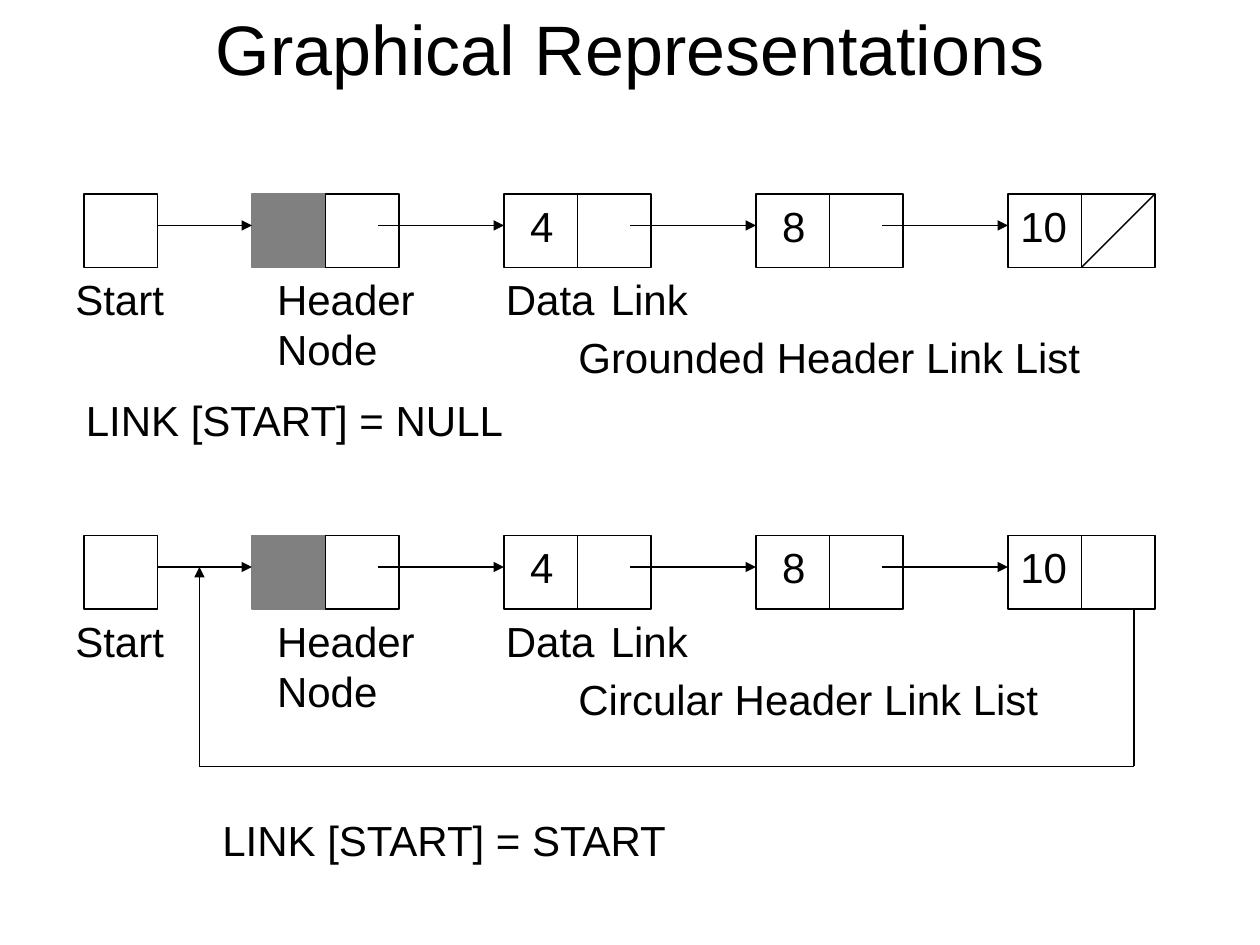
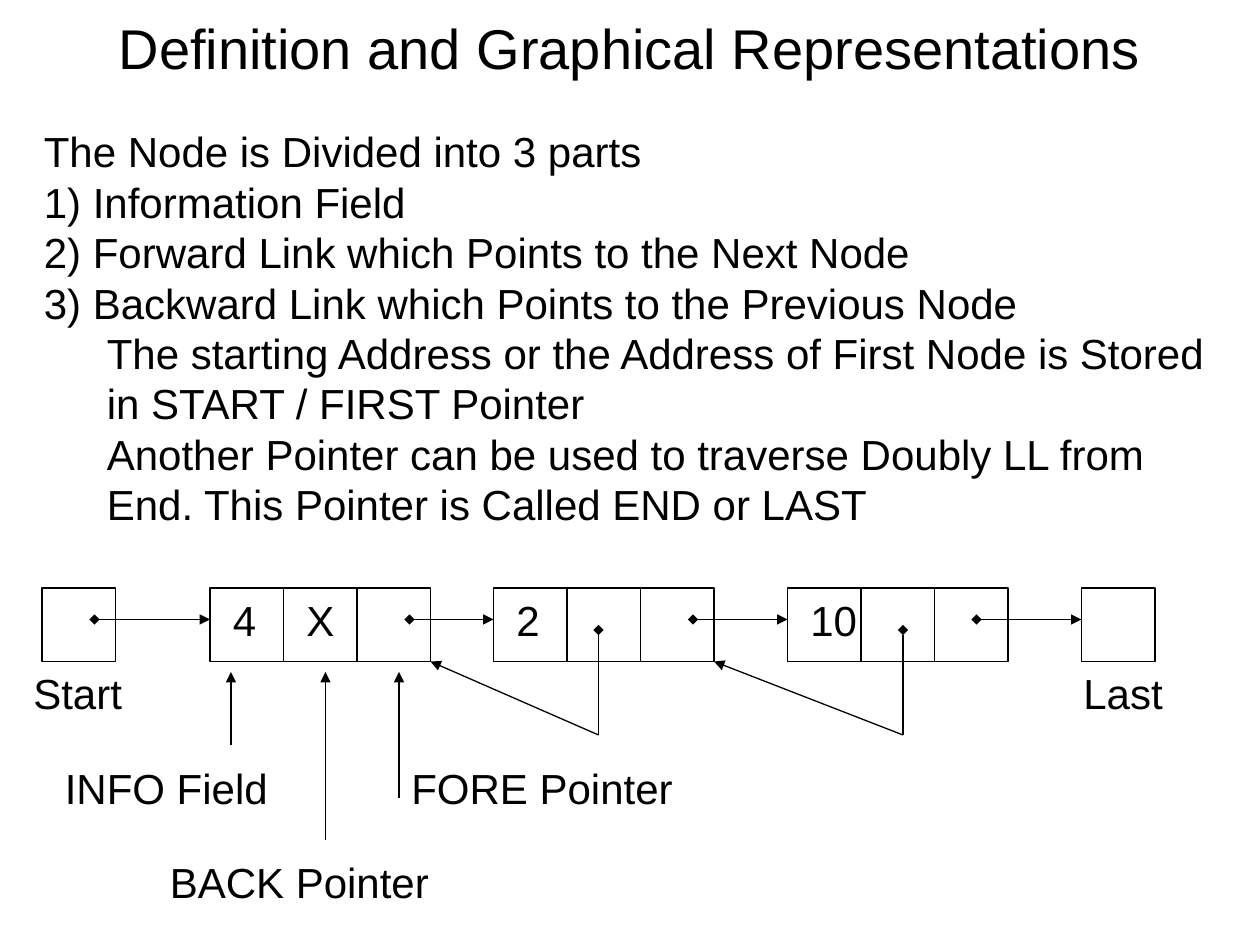
from itertools import pairwise

from lxml.etree import SubElement
from pptx import Presentation
from pptx.dml.color import RGBColor
from pptx.enum.shapes import MSO_CONNECTOR, MSO_SHAPE
from pptx.enum.text import MSO_ANCHOR, MSO_AUTO_SIZE, PP_ALIGN
from pptx.oxml.ns import qn
from pptx.util import Inches, Pt

# Shared look; every length is in grid units of a twelfth of an inch
BLACK = RGBColor(0, 0, 0)
GRAY = RGBColor(0x80, 0x80, 0x80)
FACE = "Arial"
CELL = 7
STEP = 6
TITLE = {"left": 6, "top": 0, "width": 108, "height": 9}

# Text widths in inches, and the slack that keeps each text on its line
SLACK = 0.03
WIDE = {
    "Start": 0.9, "Last": 0.83, "Data": 0.9, "Link": 0.81, "Header\nNode": 1.29,
    "4": 0.38, "8": 0.38, "2": 0.38, "10": 0.57, "X": 0.42,
    "Grounded Header Link List": 4.18, "Circular Header Link List": 3.85,
    "LINK [START] = NULL": 3.54, "LINK [START] = START": 3.78,
    "INFO Field": 1.81, "BACK Pointer": 2.25, "FORE Pointer": 2.27,
}

# Slide 1: two rows of nodes; heights count from the top of the row
HEADS = ["Graphical Representations", "Definition and Graphical Representations"]
NODES = {24: None, 48: ("4", 1.3), 72: ("8", 1.3), 96: ("10", 0)}
NAMES = [("Start", 6, 7), ("Data", 47, 7), ("Link", 57, 7), ("Header\nNode", 25.2, 7)]
ROWS = [
    {"top": 18.47, "name": "Grounded Header Link List",
     "rule": ("LINK [START] = NULL", 7, 37),
     "route": [(110, 0), (103, 7)], "tail": None},
    {"top": 51, "name": "Circular Header Link List",
     "rule": ("LINK [START] = START", 20, 77),
     "route": [(108, 7), (108, 22), (19, 22), (19, 3)], "tail": "triangle"},
]

# Slide 2: text with outline levels, then one row of three-part nodes
BODY = [
    (0, "The Node is Divided into 3 parts"),
    (0, "1) Information Field"),
    (0, "2) Forward Link which Points to the Next Node"),
    (0, "3) Backward Link which Points to the Previous Node"),
    (1, "The starting Address or the Address of First Node is Stored in START / FIRST Pointer"),
    (1, "Another Pointer can be used to traverse Doubly LL from End. "
        "This Pointer is Called END or LAST"),
]
TOP = 56
ENDS = [4, 103]
TRIOS = {20: ["4", "X"], 47: ["2"], 75: ["10"]}
FORE = [(9, 20), (39, 47), (66, 75), (93, 103)]
BACK = [(57, 41), (86, 68)]
NOTES = [(22, 71), (31, 80), (38, 76)]
TAGS = [("Start", 2, 63), ("Last", 102, 63), ("INFO Field", 5, 72),
        ("BACK Pointer", 15, 81), ("FORE Pointer", 38, 72)]


def unit(num):
    return Inches(num / 12)


def style(para, size=24):
    for key, val in {"name": FACE, "size": Pt(size)}.items():
        setattr(para.font, key, val)
    para.font.color.rgb = BLACK


def head(slide, text, size):
    shape = slide.shapes.title
    for key, val in TITLE.items():
        setattr(shape, key, unit(val))
    frame = shape.text_frame
    frame.text = text
    frame.auto_size = MSO_AUTO_SIZE.NONE
    frame.vertical_anchor = MSO_ANCHOR.MIDDLE
    para = frame.paragraphs[0]
    para.alignment = PP_ALIGN.CENTER
    style(para, size)


def cell(slide, x, y, fill=None):
    box = slide.shapes.add_shape(MSO_SHAPE.RECTANGLE, *map(unit, (x, y, CELL, CELL)))
    box.shadow.inherit = False
    if fill:
        box.fill.solid()
        box.fill.fore_color.rgb = fill
    else:
        box.fill.background()
    box.line.color.rgb = fill or BLACK
    box.line.width = Pt(0.75)


def label(slide, text, x, y):
    lines = text.split("\n")
    size = Inches(WIDE[text] + SLACK), Inches(0.1 + 0.4 * len(lines))
    box = slide.shapes.add_textbox(unit(x), unit(y), *size)
    frame = box.text_frame
    frame.word_wrap = False
    frame.auto_size = MSO_AUTO_SIZE.NONE
    frame.text = text
    for para in frame.paragraphs:
        para.alignment = PP_ALIGN.LEFT
        style(para)


def route(slide, spots, start=None, end="triangle"):
    """Draw straight lines through the spots, with marks at the two ends."""
    legs = list(pairwise(spots))
    for num, (one, two) in enumerate(legs):
        wire = slide.shapes.add_connector(MSO_CONNECTOR.STRAIGHT, *map(unit, one + two))
        wire.line.color.rgb = BLACK
        wire.line.width = Pt(0.75)
        line = wire.line._get_or_add_ln()
        if start and num == 0:
            SubElement(line, qn("a:headEnd"), type=start)
        if end and num == len(legs) - 1:
            SubElement(line, qn("a:tailEnd"), type=end)
        SubElement(wire._element.spPr, qn("a:effectLst"))


def chain(slide, row):
    top = row["top"]
    cell(slide, 8, top)
    for x, data in NODES.items():
        cell(slide, x, top, None if data else GRAY)
        cell(slide, x + CELL, top)
        if data:
            text, shift = data
            label(slide, text, x + shift, top)
    # Links from each node to the next
    for x, goal in [(15, 24)] + [(x + 12, y) for x, y in pairwise(NODES)]:
        route(slide, [(x, top + 3), (goal, top + 3)])
    route(slide, [(x, top + y) for x, y in row["route"]], end=row["tail"])
    for text, x, y in NAMES + [(row["name"], 53.9, 12.53)]:
        label(slide, text, x, top + y)
    label(slide, *row["rule"])


def prose(slide):
    box = slide.shapes.add_textbox(unit(3), unit(12), unit(113), Inches(3.2))
    frame = box.text_frame
    form = {"word_wrap": True, "margin_top": 0, "margin_bottom": 0,
            "vertical_anchor": MSO_ANCHOR.MIDDLE,
            "auto_size": MSO_AUTO_SIZE.SHAPE_TO_FIT_TEXT}
    for key, val in form.items():
        setattr(frame, key, val)
    frame.text = "\n".join(text for _, text in BODY)
    for para, (level, _) in zip(frame.paragraphs, BODY):
        style(para)
        para.level = level
        props = para._p.get_or_add_pPr()
        props.set("marL", str(unit(STEP * level)))
        props.set("indent", "0")


def double(slide):
    for x in ENDS:
        cell(slide, x, TOP)
    for x, texts in TRIOS.items():
        for part in range(3):
            cell(slide, x + part * CELL, TOP)
        for part, text in enumerate(texts):
            label(slide, text, x + part * CELL + 1, TOP)
    # Forward and backward links
    for x, goal in FORE:
        route(slide, [(x, TOP + 3), (goal, TOP + 3)], "diamond")
    for x, goal in BACK:
        route(slide, [(x, TOP + 4), (x, TOP + 14), (goal, TOP + CELL)], "diamond")
    # Pointers from the names to the parts
    for x, y in NOTES:
        route(slide, [(x, y), (x, TOP + 8)])
    for tag in TAGS:
        label(slide, *tag)


def main():
    deck = Presentation()
    deck.slide_width, deck.slide_height = Inches(10), Inches(7.5)
    first, second = [deck.slides.add_slide(deck.slide_layouts[5]) for _ in HEADS]
    for slide, text, size in zip((first, second), HEADS, (40, 32)):
        head(slide, text, size)
    for row in ROWS:
        chain(first, row)
    prose(second)
    double(second)
    deck.save("out.pptx")


if __name__ == "__main__":
    main()
